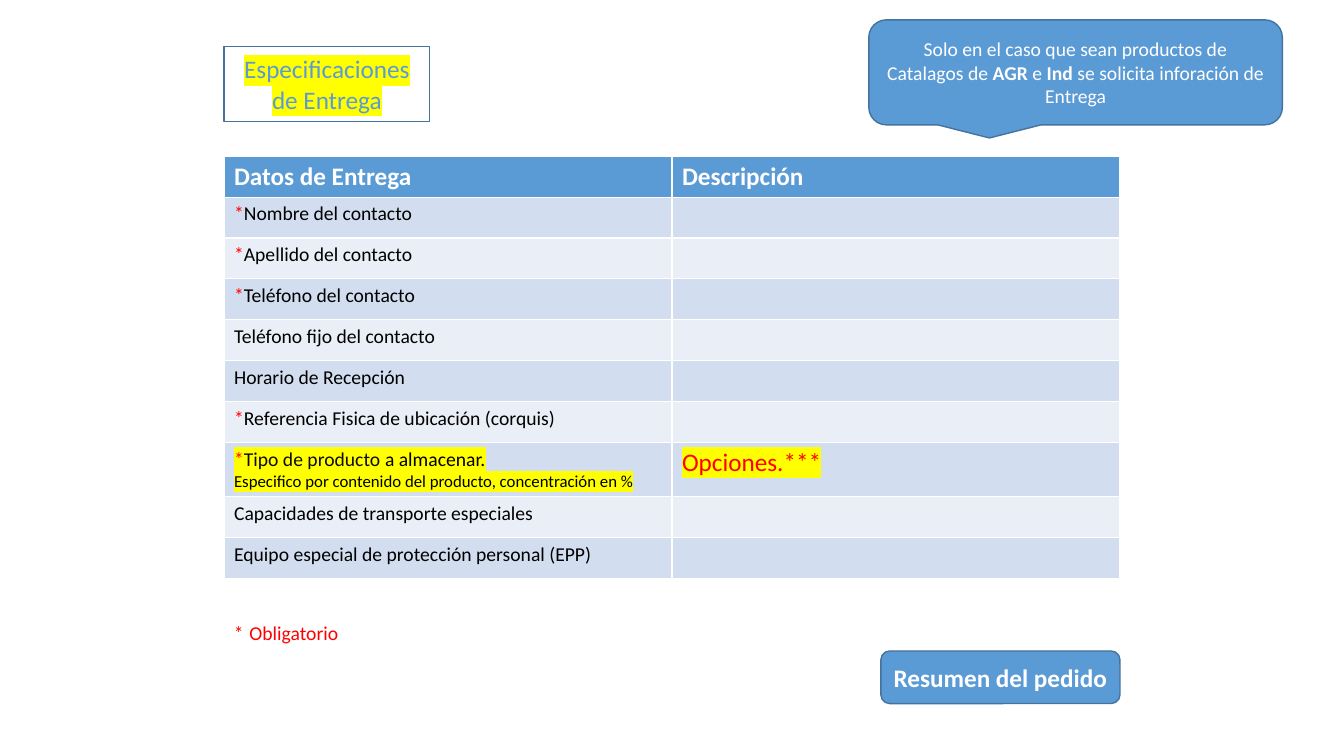
from dataclasses import dataclass

from lxml.etree import SubElement
from pptx import Presentation
from pptx.dml.color import RGBColor
from pptx.enum.shapes import MSO_SHAPE as Preset
from pptx.enum.text import MSO_ANCHOR as Anchor, MSO_AUTO_SIZE as AutoSize, PP_ALIGN as Align
from pptx.oxml.ns import qn
from pptx.util import Pt

FONT = "Calibri"
WHITE, BLACK, RED, YELLOW = "FFFFFF", "000000", "FF0000", "FFFF00"
BLUE, OUTLINE, NEAR_BLACK = "5B9BD5", "43739E", "0D0D0D"
BANDS = ("D2DEEF", "EAEFF7")
TABLE_LEFT, TABLE_TOP, COLUMN_WIDTH, ROW_HEIGHT = 160, 111.6, 320, 29.2


@dataclass
class Span:
    text: str
    color: str = BLACK
    bold: bool = False
    highlight: str = ""
    size: float = 0


@dataclass
class Line:
    spans: list[Span]
    size: float = 14


@dataclass
class Box:
    preset: Preset
    left: float
    top: float
    width: float
    height: float
    line: Line


def set_color(target, color: str) -> None:
    target.rgb = RGBColor.from_string(color)


def set_fill(fill, color: str) -> None:
    fill.solid()
    set_color(fill.fore_color, color)


def add_highlight(font, color: str) -> None:
    """Put the highlight right after the font colour, as the schema requires."""
    properties = font._element if hasattr(font, "_element") else font._rPr
    highlight = SubElement(properties, qn("a:highlight"))
    SubElement(highlight, qn("a:srgbClr")).set("val", color)
    properties.find(qn("a:solidFill")).addnext(highlight)


def write(frame, lines: list[Line], align: Align = Align.LEFT) -> None:
    for index, line in enumerate(lines):
        para = frame.add_paragraph() if index else frame.paragraphs[0]
        para.alignment = align
        para.font.name = FONT
        para.font.size = Pt(line.size)
        for span in line.spans:
            run = para.add_run()
            run.text = span.text
            run.font.bold = span.bold
            set_color_of_font = run.font.color
            set_color(set_color_of_font, span.color)
            if span.size:
                run.font.size = Pt(span.size)
            if span.highlight:
                add_highlight(run.font, span.highlight)


def style_box(shape, fill: str, line: Line) -> None:
    shape.shadow.inherit = False
    set_fill(shape.fill, fill)
    set_color(shape.line.color, OUTLINE)
    shape.line.width = Pt(1)
    frame = shape.text_frame
    frame.word_wrap = True
    frame.auto_size = AutoSize.NONE
    frame.vertical_anchor = Anchor.MIDDLE
    write(frame, [line], Align.CENTER)


def add_title(page) -> None:
    title = page.shapes.title
    title.left, title.top, title.width, title.height = Pt(160), Pt(33.2), Pt(147), Pt(53.6)
    geometry = SubElement(title._element.spPr, qn("a:prstGeom"))
    geometry.set("prst", "roundRect")
    SubElement(geometry, qn("a:avLst"))
    style_box(title, WHITE, Line([Span("Especificaciones de Entrega", BLUE, highlight=YELLOW)], 18))


def required(text: str) -> list[Line]:
    return [Line([Span("*", RED), Span(text)])]


def optional(text: str) -> list[Line]:
    return [Line([Span(text)])]


def header(text: str) -> list[Line]:
    return [Line([Span(text, WHITE, bold=True)], 18)]


PRODUCT_TYPE = [
    Line([Span("*", RED, highlight=YELLOW),
          Span("Tipo de producto ", NEAR_BLACK, highlight=YELLOW),
          Span("a almacenar.", highlight=YELLOW)]),
    Line([Span("Especifico por contenido del producto, concentración en %",
               highlight=YELLOW)], 12),
]
PRODUCT_OPTIONS = [Line([Span("Opciones.***", RED, highlight=YELLOW)], 18)]

DELIVERY_ROWS = [
    (header("Datos de Entrega"), header("Descripción")),
    (required("Nombre del contacto"), []),
    (required("Apellido del contacto"), []),
    (required("Teléfono del contacto"), []),
    (optional("Teléfono fijo del contacto"), []),
    (optional("Horario de Recepción"), []),
    (required("Referencia Fisica de ubicación (corquis)"), []),
    (PRODUCT_TYPE, PRODUCT_OPTIONS),
    (optional("Capacidades de transporte especiales"), []),
    (optional("Equipo especial de protección personal (EPP)"), []),
]

BOXES = [
    Box(Preset.ROUNDED_RECTANGULAR_CALLOUT, 620.6, 14.2, 295.4, 75, Line([
        Span("Solo en el caso que sean productos de Catalagos de ", WHITE),
        Span("AGR", WHITE, bold=True),
        Span(" e ", WHITE),
        Span("Ind", WHITE, bold=True),
        Span(" se solicita inforación de Entrega", WHITE)])),
    Box(Preset.ROUNDED_RECTANGLE, 629.2, 465, 170.8, 37.6,
        Line([Span("Resumen del pedido", WHITE, bold=True)], 18)),
]


def add_delivery_table(page) -> None:
    count = len(DELIVERY_ROWS)
    table = page.shapes.add_table(count, 2, Pt(TABLE_LEFT), Pt(TABLE_TOP),
                                  Pt(2 * COLUMN_WIDTH), Pt(count * ROW_HEIGHT)).table
    for row_index, row in enumerate(DELIVERY_ROWS):
        table.rows[row_index].height = Pt(ROW_HEIGHT)
        for column_index, lines in enumerate(row):
            cell = table.cell(row_index, column_index)
            set_fill(cell.fill, BANDS[(row_index - 1) % 2] if row_index else BLUE)
            write(cell.text_frame, lines)


def add_required_note(page) -> None:
    note = page.shapes.add_textbox(Pt(TABLE_LEFT), Pt(435.6), Pt(92), Pt(29))
    note.text_frame.word_wrap = False
    note.text_frame.auto_size = AutoSize.SHAPE_TO_FIT_TEXT
    write(note.text_frame,
          [Line([Span("*", RED), Span(" ", RED, size=18), Span("Obligatorio", RED)])])


def main() -> None:
    deck = Presentation()
    deck.slide_width, deck.slide_height = Pt(960), Pt(540)
    page = deck.slides.add_slide(deck.slide_layouts.get_by_name("Title Only"))
    add_title(page)
    add_delivery_table(page)
    add_required_note(page)
    for box in BOXES:
        shape = page.shapes.add_shape(box.preset, Pt(box.left), Pt(box.top),
                                      Pt(box.width), Pt(box.height))
        style_box(shape, BLUE, box.line)
    deck.save("out.pptx")


if __name__ == "__main__":
    main()
